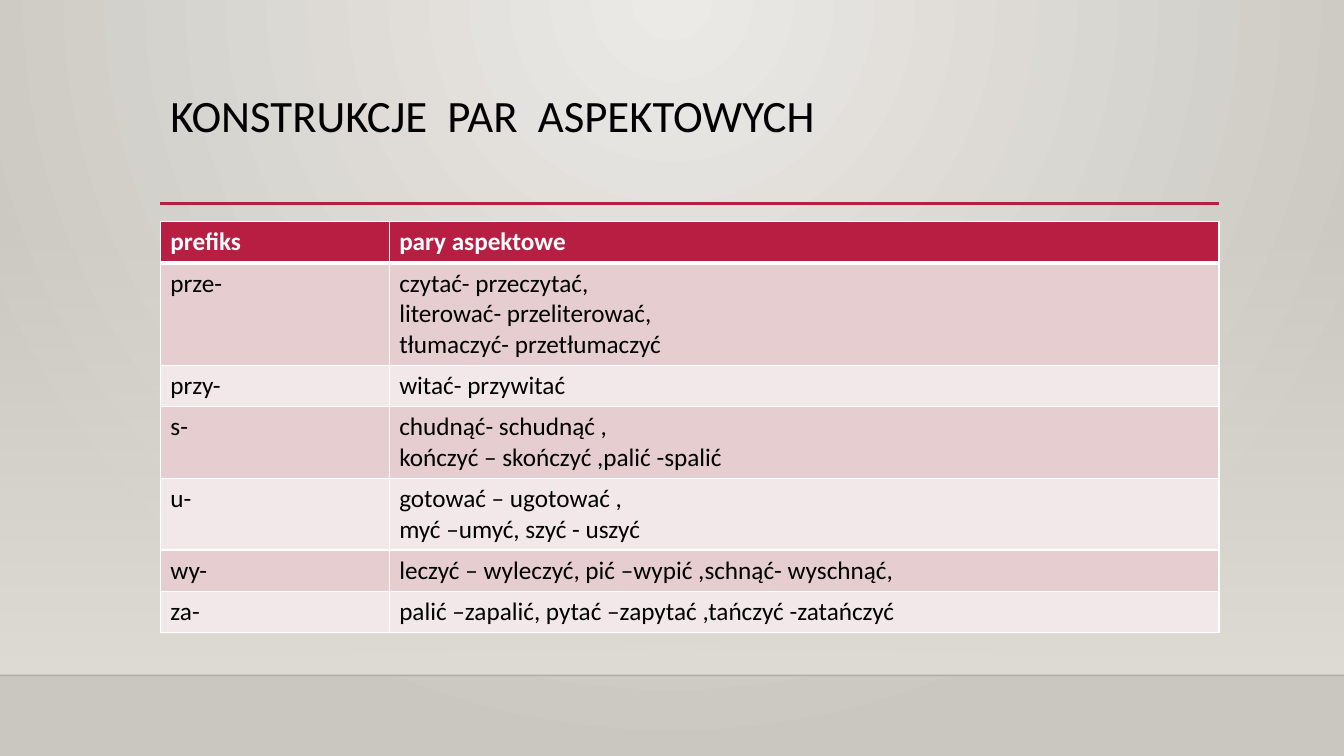
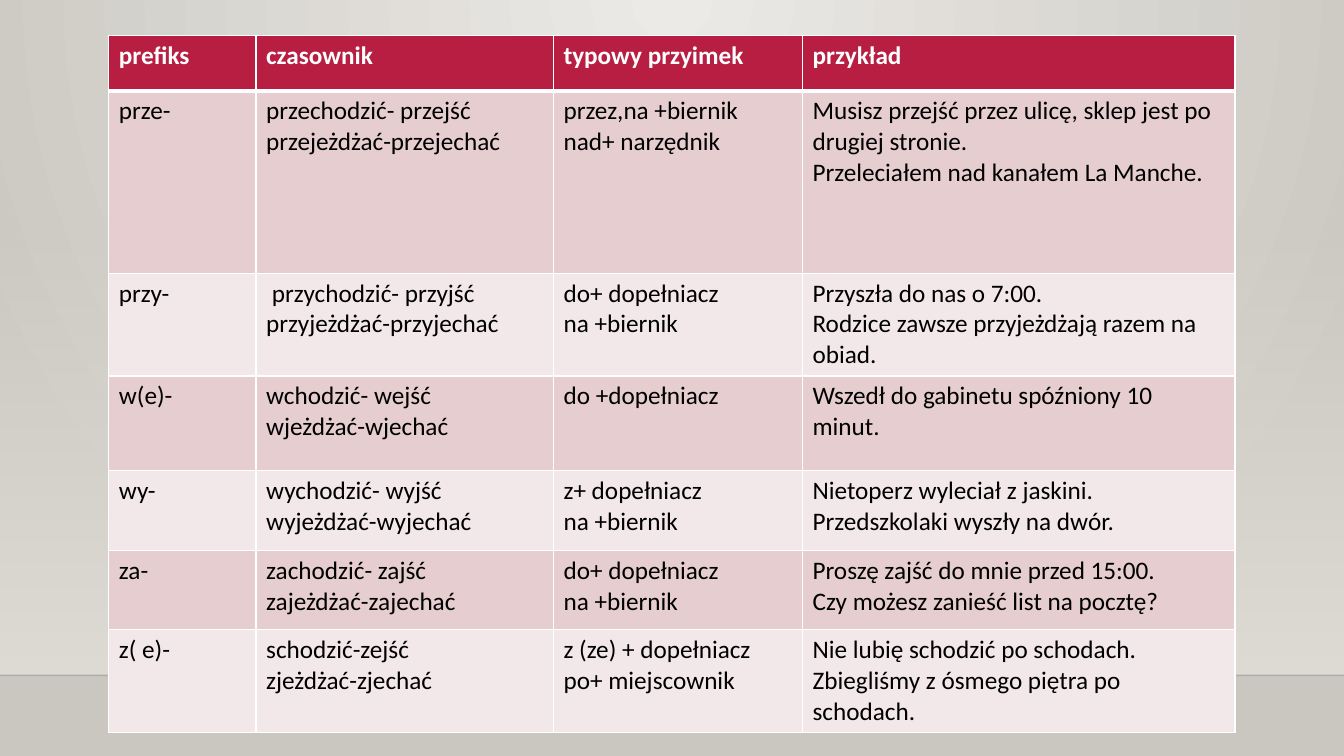
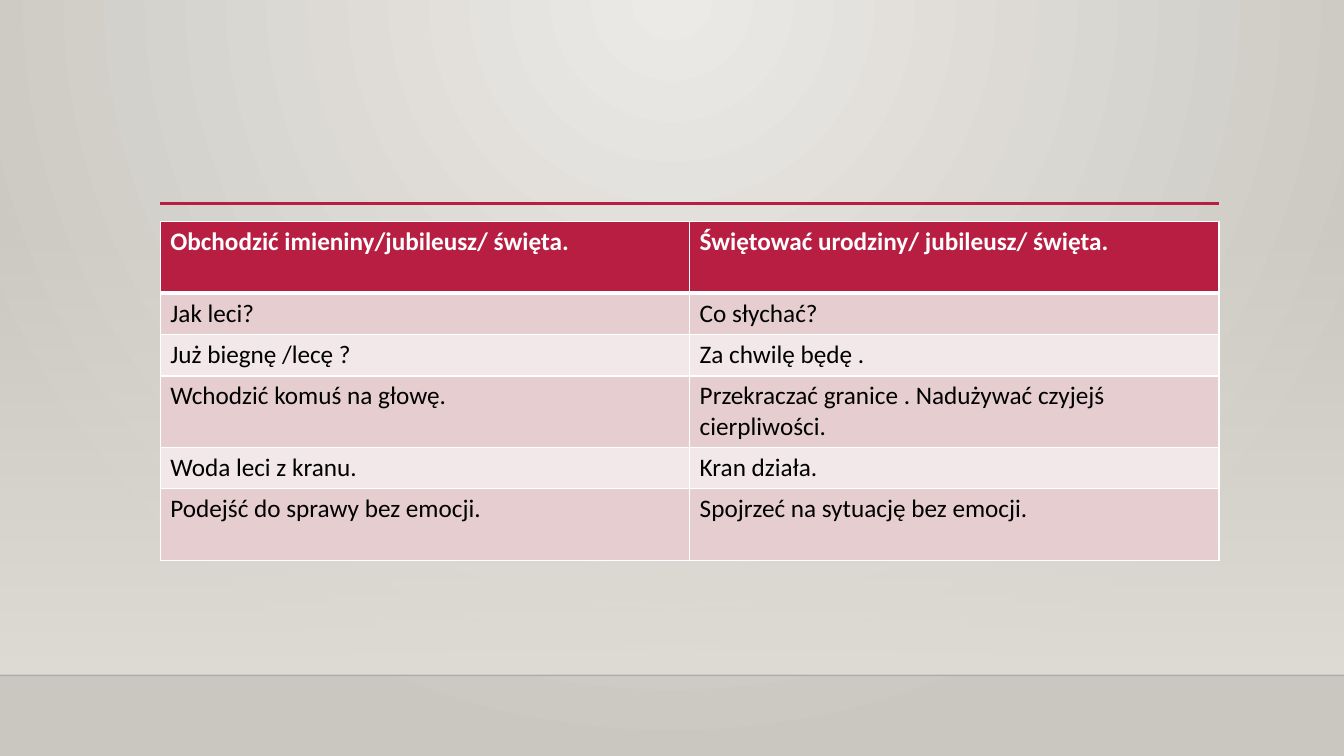
from lxml import etree
from pptx import Presentation
from pptx import util as u
from pptx.dml.color import RGBColor
from pptx.enum import shapes, text
from pptx.oxml.ns import qn

WHITE = RGBColor(0xFF, 0xFF, 0xFF)
BLACK = RGBColor(0x00, 0x00, 0x00)
HORIZON = RGBColor(0x00, 0x00, 0x01)
CRIMSON = RGBColor(0xB7, 0x1E, 0x42)
ROW_DARK = RGBColor(0xE6, 0xCD, 0xCF)
ROW_LIGHT = RGBColor(0xF3, 0xE8, 0xE9)
GLOW = RGBColor(0xEC, 0xEA, 0xE7)
STONE = RGBColor(0xCA, 0xC7, 0xC1)
SAND = RGBColor(0xDF, 0xDB, 0xD5)

FONT = "Calibri"
TITLE_SIZE = 32
TABLE_SIZE = 18
WIDTH, HEIGHT = 13.33, 7.5
HORIZON_TOP = 6.7
CONTENT_LEFT, CONTENT_WIDTH = 1.59, 10.5
TITLE_BOX = (CONTENT_LEFT, 0.88, CONTENT_WIDTH, 1.15)
RULE_TOP = 2.02
TABLE_TOP = 2.2

PAIRS = [
    ["prefiks", "pary aspektowe"],
    ["prze-", "czytać- przeczytać,\nliterować- przeliterować,\ntłumaczyć- przetłumaczyć"],
    ["przy-", "witać- przywitać"],
    ["s-", "chudnąć- schudnąć ,\nkończyć – skończyć ,palić -spalić"],
    ["u-", "gotować – ugotować ,\nmyć –umyć, szyć - uszyć"],
    ["wy-", "leczyć – wyleczyć, pić –wypić ,schnąć- wyschnąć,"],
    ["za-", "palić –zapalić, pytać –zapytać ,tańczyć -zatańczyć"],
]

MOTION_VERBS = [
    ["prefiks", "czasownik", "typowy przyimek", "przykład"],
    ["prze-", "przechodzić- przejść\nprzejeżdżać-przejechać",
     "przez,na +biernik\nnad+ narzędnik",
     "Musisz przejść przez ulicę, sklep jest po drugiej stronie.\n"
     "Przeleciałem nad kanałem La Manche."],
    ["przy-", " przychodzić- przyjść\nprzyjeżdżać-przyjechać",
     "do+ dopełniacz\nna +biernik",
     "Przyszła do nas o 7:00.\nRodzice zawsze przyjeżdżają razem na obiad."],
    ["w(e)-", "wchodzić- wejść\nwjeżdżać-wjechać", "do +dopełniacz",
     "Wszedł do gabinetu spóźniony 10 minut."],
    ["wy-", "wychodzić- wyjść\nwyjeżdżać-wyjechać", "z+ dopełniacz\nna +biernik",
     "Nietoperz wyleciał z jaskini.\nPrzedszkolaki wyszły na dwór."],
    ["za-", "zachodzić- zajść\nzajeżdżać-zajechać", "do+ dopełniacz\nna +biernik",
     "Proszę zajść do mnie przed 15:00.\nCzy możesz zanieść list na pocztę?"],
    ["z( e)-", "schodzić-zejść\nzjeżdżać-zjechać", "z (ze) + dopełniacz\npo+ miejscownik",
     "Nie lubię schodzić po schodach.\nZbiegliśmy z ósmego piętra po schodach."],
]

PHRASES = [
    ["Obchodzić imieniny/jubileusz/ święta.", "Świętować urodziny/ jubileusz/ święta."],
    ["Jak leci?", "Co słychać?"],
    ["Już biegnę /lecę ?", "Za chwilę będę ."],
    ["Wchodzić komuś na głowę.", "Przekraczać granice . Nadużywać czyjejś cierpliwości."],
    ["Woda leci z kranu.", "Kran działa."],
    ["Podejść do sprawy bez emocji.", "Spojrzeć na sytuację bez emocji."],
]


def inches(*lengths):
    return [u.Inches(length) for length in lengths]


def set_gradient(fill, first, last):
    fill.gradient()
    for stop, color in zip(fill.gradient_stops, (first, last)):
        stop.color.rgb = color


def set_alpha(element, percent):
    color = element.find(".//" + qn("a:srgbClr"))
    etree.SubElement(color, qn("a:alpha"), val=str(percent * 1000))


def paint_background(master):
    set_gradient(master.background.fill, GLOW, STONE)
    gradient = master.element.find(".//" + qn("p:bg")).find(".//" + qn("a:gradFill"))
    gradient.remove(gradient.find(qn("a:lin")))
    glow = etree.SubElement(gradient, qn("a:path"), path="circle")
    etree.SubElement(glow, qn("a:fillToRect"), l="43000", t="0", r="43000", b="100000")


def add_line(slide, left, top, width, color, points):
    line = slide.shapes.add_connector(
        shapes.MSO_CONNECTOR.STRAIGHT, *inches(left, top, left + width, top))
    line.line.color.rgb = color
    line.line.width = u.Pt(points)
    etree.SubElement(line._element.spPr, qn("a:effectLst"))
    return line


def add_backdrop(slide):
    wall = slide.shapes.add_shape(
        shapes.MSO_SHAPE.RECTANGLE, *inches(0, 2.21, WIDTH, HORIZON_TOP - 2.21))
    wall.shadow.inherit = False
    wall.line.fill.background()
    set_gradient(wall.fill, SAND, SAND)
    wall.fill.gradient_angle = 270
    set_alpha(wall._element.spPr, 0)
    horizon = add_line(slide, 0, HORIZON_TOP, WIDTH, HORIZON, 1)
    set_alpha(horizon._element.spPr, 20)


def add_rule(slide):
    add_line(slide, CONTENT_LEFT, RULE_TOP, CONTENT_WIDTH, CRIMSON, 2.5)


def style_run(run, size, color, bold=False):
    run.font.name = FONT
    run.font.size = u.Pt(size)
    run.font.color.rgb = color
    run.font.bold = bold


def add_title(slide, words, box):
    title = slide.shapes.title
    title.left, title.top, title.width, title.height = inches(*box)
    frame = title.text_frame
    frame.word_wrap = True
    frame.auto_size = text.MSO_AUTO_SIZE.NONE
    frame.vertical_anchor = text.MSO_ANCHOR.TOP
    paragraph = frame.paragraphs[0]
    paragraph.alignment = text.PP_ALIGN.LEFT
    paragraph.line_spacing = 0.9
    run = paragraph.add_run()
    run.text = words
    style_run(run, TITLE_SIZE, BLACK)


def set_borders(cell, top, bottom):
    properties = cell._tc.get_or_add_tcPr()
    for side, points in (("L", 1), ("R", 1), ("T", top), ("B", bottom)):
        border = etree.SubElement(properties, qn("a:ln" + side), w=str(u.Pt(points)))
        solid = etree.SubElement(border, qn("a:solidFill"))
        etree.SubElement(solid, qn("a:srgbClr"), val=str(WHITE))


def fill_cell(cell, words, row):
    header = row == 0
    set_borders(cell, 3 if row == 1 else 1, 3 if header else 1)
    cell.fill.solid()
    cell.fill.fore_color.rgb = CRIMSON if header else (ROW_LIGHT, ROW_DARK)[row % 2]
    frame = cell.text_frame
    for index, line in enumerate(words.split("\n")):
        paragraph = frame.add_paragraph() if index else frame.paragraphs[0]
        run = paragraph.add_run()
        run.text = line
        style_run(run, TABLE_SIZE, WHITE if header else BLACK, header)


def add_word_table(slide, left, top, widths, heights, rows):
    table = slide.shapes.add_table(
        len(rows), len(widths), *inches(left, top, sum(widths), sum(heights))).table
    for column, width in zip(table.columns, widths):
        column.width = u.Inches(width)
    for index, (height, entries) in enumerate(zip(heights, rows)):
        table.rows[index].height = u.Inches(height)
        for cell, words in zip(table.rows[index].cells, entries):
            fill_cell(cell, words, index)


def add_slide(deck, layout):
    slide = deck.slides.add_slide(deck.slide_layouts.get_by_name(layout))
    add_backdrop(slide)
    return slide


def main():
    deck = Presentation()
    deck.slide_width, deck.slide_height = inches(WIDTH, HEIGHT)
    paint_background(deck.slide_master)

    pairs = add_slide(deck, "Title Only")
    add_rule(pairs)
    add_title(pairs, "KONSTRUKCJE  PAR  ASPEKTOWYCH", TITLE_BOX)
    add_word_table(pairs, CONTENT_LEFT, TABLE_TOP, [2.27, 8.23],
                   [0.41, 1.01, 0.41, 0.71, 0.71, 0.41, 0.41], PAIRS)

    verbs = add_slide(deck, "Blank")
    add_word_table(verbs, 1.08, 0.35, [1.46, 2.95, 2.47, 4.29],
                   [0.55, 1.81, 1.02, 0.94, 0.79, 0.79, 1.02], MOTION_VERBS)

    phrases = add_slide(deck, "Blank")
    add_rule(phrases)
    add_word_table(phrases, CONTENT_LEFT, TABLE_TOP, [CONTENT_WIDTH / 2] * 2,
                   [0.71, 0.41, 0.41, 0.71, 0.41, 0.71], PHRASES)

    deck.save("out.pptx")


if __name__ == "__main__":
    main()
